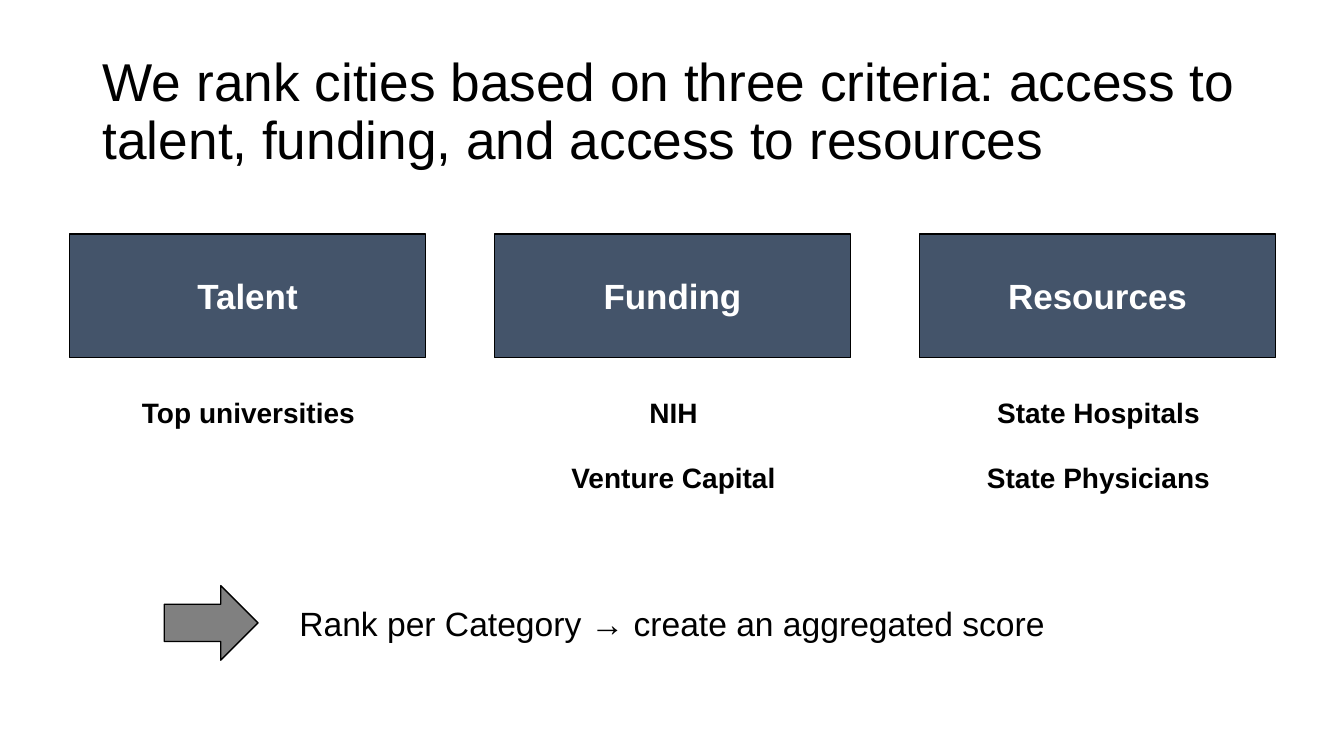
from dataclasses import dataclass

import pptx
import pptx.dml.color
import pptx.enum.shapes
import pptx.enum.text
import pptx.util

SHAPE = pptx.enum.shapes.MSO_SHAPE
ANCHOR = pptx.enum.text.MSO_ANCHOR
ALIGN = pptx.enum.text.PP_ALIGN


@dataclass(frozen=True)
class Theme:
    font: str = "Arial"
    ink: str = "000000"
    header_fill: str = "44546A"
    header_ink: str = "FFFFFF"
    arrow_fill: str = "808080"
    title_size: int = 38
    header_size: int = 25
    item_size: int = 20
    item_gap: int = 23
    summary_size: int = 24
    outline: int = 1


THEME = Theme()
PAGE_WIDTH, PAGE_HEIGHT = 13.33, 7.5

# Three criteria columns
COLUMN_WIDTH, COLUMN_PITCH = 3.53, 4.215
HEADER_HEIGHT, ITEMS_TOP, ITEMS_HEIGHT = 1.23, 1.55, 1.47
CRITERIA = [
    ("Talent", ["Top universities"]),
    ("Funding", ["NIH", "Venture Capital"]),
    ("Resources", ["State Hospitals", "State Physicians"]),
]


def inches(box):
    return [pptx.util.Inches(length) for length in box]


def rgb(color):
    return pptx.dml.color.RGBColor.from_string(color)


def write(shape, lines, size, color, bold=False, align=ALIGN.CENTER,
          anchor=ANCHOR.TOP, gap=0, spacing=None):
    frame = shape.text_frame
    frame.word_wrap = True
    frame.vertical_anchor = anchor
    frame.text = "\n".join(lines)
    for index, para in enumerate(frame.paragraphs):
        para.alignment = align
        para.line_spacing = spacing
        para.space_before = pptx.util.Pt(gap if index else 0)
        para.font.name = THEME.font
        para.font.size = pptx.util.Pt(size)
        para.font.bold = bold
        para.font.color.rgb = rgb(color)


def add_outlined(page, kind, box, fill):
    shape = page.shapes.add_shape(kind, *inches(box))
    shape.shadow.inherit = False
    shape.fill.solid()
    shape.fill.fore_color.rgb = rgb(fill)
    shape.line.color.rgb = rgb(THEME.ink)
    shape.line.width = pptx.util.Pt(THEME.outline)
    return shape


def add_title(page, box, text):
    title = page.shapes.add_textbox(*inches(box))
    write(title, [text], THEME.title_size, THEME.ink, align=ALIGN.LEFT,
          anchor=ANCHOR.MIDDLE, spacing=0.9)


def add_criterion(page, left, top, name, items):
    # Header block
    header = add_outlined(page, SHAPE.RECTANGLE,
                          (left, top, COLUMN_WIDTH, HEADER_HEIGHT), THEME.header_fill)
    write(header, [name], THEME.header_size, THEME.header_ink, bold=True,
          anchor=ANCHOR.MIDDLE)
    # Measures below the header
    measures = page.shapes.add_textbox(
        *inches((left + 0.01, top + ITEMS_TOP, COLUMN_WIDTH, ITEMS_HEIGHT)))
    write(measures, items, THEME.item_size, THEME.ink, bold=True, gap=THEME.item_gap)


def add_summary(page, box, text):
    left, top, width, height = box
    add_outlined(page, SHAPE.RIGHT_ARROW, (left + 0.22, top, 0.93, height),
                 THEME.arrow_fill)
    summary = page.shapes.add_textbox(*inches((left, top + 0.12, width, 0.5)))
    write(summary, [text], THEME.summary_size, THEME.ink)


def main():
    deck = pptx.Presentation()
    deck.slide_width, deck.slide_height = inches((PAGE_WIDTH, PAGE_HEIGHT))
    page = deck.slides.add_slide(deck.slide_layouts[6])

    add_title(page, (0.92, 0.4, 11.5, 1.45),
              "We rank cities based on three criteria: "
              "access to talent, funding, and access to resources")
    for column, (name, items) in enumerate(CRITERIA):
        add_criterion(page, 0.69 + column * COLUMN_PITCH, 2.32, name, items)
    add_summary(page, (1.41, 5.81, 10.51, 0.74),
                "Rank per Category → create an aggregated score")

    deck.save("out.pptx")


if __name__ == "__main__":
    main()
